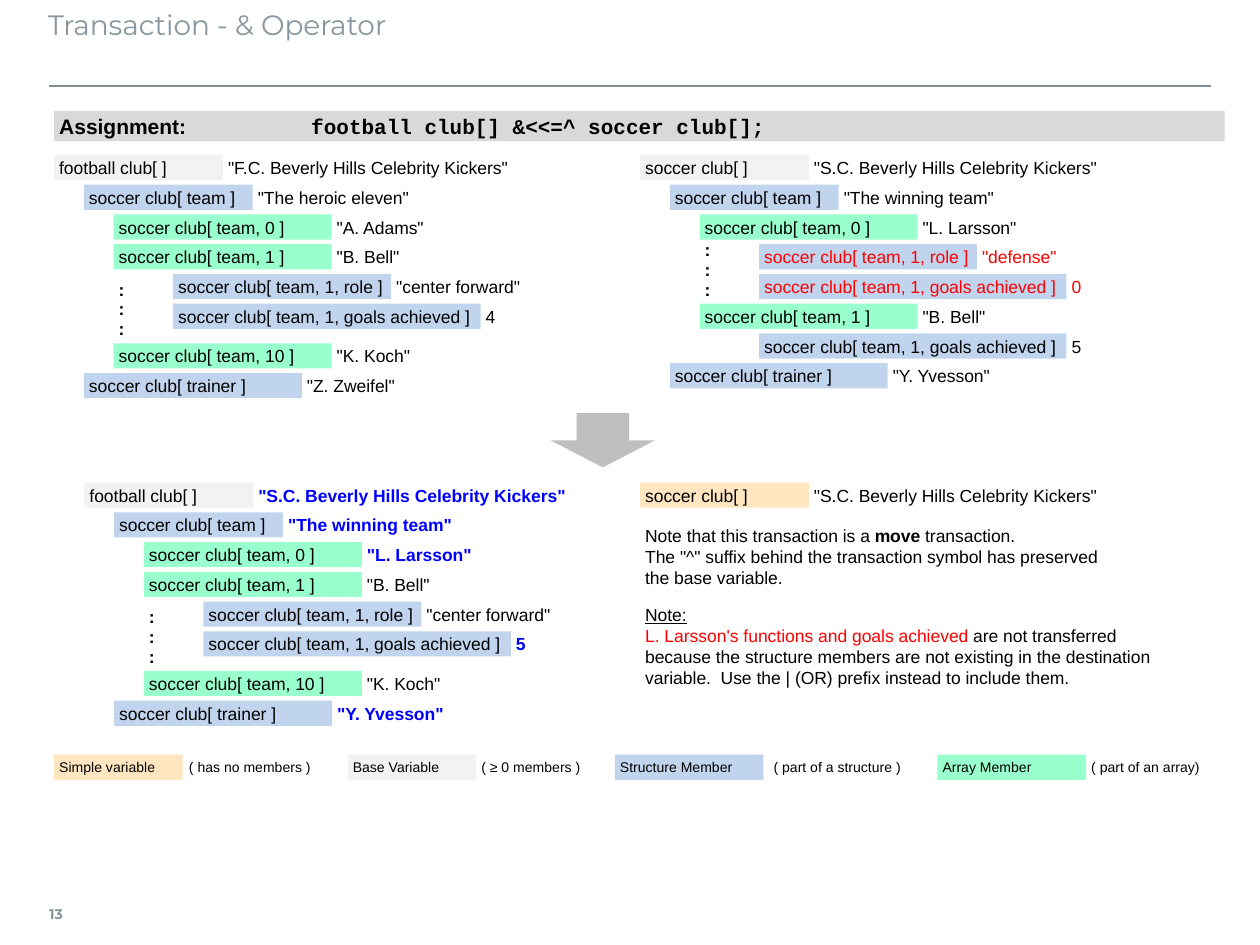
"""Build the slide on moving a structured variable with the transaction operator."""
from dataclasses import dataclass
from typing import NamedTuple

import pptx
import pptx.dml.color
import pptx.enum.shapes
import pptx.enum.text
import pptx.oxml.ns
import pptx.util
from lxml import etree

Inches = pptx.util.Inches
Shapes = pptx.enum.shapes.MSO_SHAPE
Anchor = pptx.enum.text.MSO_ANCHOR


@dataclass(frozen=True)
class Theme:
    heading_font: str = "Montserrat"
    body_font: str = "Arial"
    code_font: str = "Courier New"
    heading: str = "8996A0"
    rule: str = "808D97"
    text: str = "000000"
    removed: str = "FF0000"
    changed: str = "0000FF"
    banner: str = "D9D9D9"
    arrow: str = "BFBFBF"
    simple: str = "FFE6C1"
    base: str = "F2F2F2"
    structure: str = "C1D4EE"
    array: str = "99FFCC"
    title_size: int = 16
    banner_size: int = 12
    body_size: int = 10
    small_size: int = 8


THEME = Theme()
STEP = 17 / 72
BAR_HEIGHT = 0.2
INSET = 0.04


class Kind(NamedTuple):
    level: int
    label_width: float
    value_width: float
    fill: str


BASE = Kind(0, 1.34, 2.6, THEME.base)
SIMPLE = BASE._replace(fill=THEME.simple)
TEAM = Kind(1, 1.34, 2.28, THEME.structure)
TRAINER = Kind(1, 1.73, 1.73, THEME.structure)
ITEM = Kind(2, 1.73, 1.26, THEME.array)
ROLE = Kind(4, 1.73, 1.1, THEME.structure)
GOALS = Kind(4, 2.44, 0.39, THEME.structure)


class Member(NamedTuple):
    kind: Kind
    row: float
    label: str
    value: str
    label_color: str = THEME.text
    value_color: str = THEME.text


class Legend(NamedTuple):
    left: float
    width: float
    label: str
    note_left: float
    note_width: float
    note: str
    fill: str


class Span(NamedTuple):
    text: str
    color: str = THEME.text
    bold: bool = False
    underline: bool = False
    font: str = THEME.body_font


def rgb(value: str) -> pptx.dml.color.RGBColor:
    """Turn a hex string into a colour."""
    return pptx.dml.color.RGBColor.from_string(value)


def add_box(s, left: float, top: float, width: float, height: float, fill: str = ""):
    """Add a filled rectangle, or a text box when there is no fill."""
    box = [Inches(v) for v in (left, top, width, height)]
    if not fill:
        return s.shapes.add_textbox(*box)
    sp = s.shapes.add_shape(Shapes.RECTANGLE, *box)
    paint(sp, fill)
    return sp


def paint(sp, fill: str) -> None:
    """Give a shape a flat fill without line or shadow."""
    sp.shadow.inherit = False
    sp.fill.solid()
    sp.fill.fore_color.rgb = rgb(fill)
    sp.line.fill.background()


def write(sp, lines: list[list[Span]], size: int) -> None:
    """Write lines of spans, left aligned and vertically centred."""
    tf = sp.text_frame
    tf.word_wrap = False
    tf.vertical_anchor = Anchor.MIDDLE
    tf.margin_left = tf.margin_right = tf.margin_top = tf.margin_bottom = Inches(INSET)
    for i, spans in enumerate(lines):
        p = tf.add_paragraph() if i else tf.paragraphs[0]
        p.alignment = pptx.enum.text.PP_ALIGN.LEFT
        p.font.size = pptx.util.Pt(size)
        for span in spans:
            r = p.add_run()
            r.text = span.text
            r.font.name = span.font
            r.font.bold = span.bold
            r.font.underline = span.underline
            r.font.color.rgb = rgb(span.color)


def add_tree(s, left: float, top: float, members: list[Member], dots_row: float = 0) -> None:
    """Draw indented members with their values and an optional column of dots."""
    for kind, row, label, value, label_color, value_color in members:
        x, y = left + kind.level * STEP, top + row * STEP
        sp = add_box(s, x, y, kind.label_width, BAR_HEIGHT, kind.fill)
        write(sp, [[Span(label, label_color)]], THEME.body_size)
        sp = add_box(s, x + kind.label_width, y, kind.value_width, BAR_HEIGHT)
        bold = value_color == THEME.changed
        write(sp, [[Span(value, value_color, bold)]], THEME.body_size)
    for i in range(3 if dots_row else 0):
        y = top + (dots_row + i * 2 / 3) * STEP
        sp = add_box(s, left + ITEM.level * STEP, y, 0.16, 0.24)
        write(sp, [[Span(":", bold=True)]], THEME.body_size)


def football_tree(club: str, team: str, first: str, goals: str, trainer: str,
                  color: str = THEME.text) -> list[Member]:
    """List the football club members, with the varying values in one colour."""
    return [
        Member(BASE, 0, "football club[ ]", club, value_color=color),
        Member(TEAM, 1, "soccer club[ team ]", team, value_color=color),
        Member(ITEM, 2, "soccer club[ team, 0 ]", first, value_color=color),
        Member(ITEM, 3, "soccer club[ team, 1 ]", '"B. Bell"'),
        Member(ROLE, 4, "soccer club[ team, 1, role ]", '"center forward"'),
        Member(GOALS, 5, "soccer club[ team, 1, goals achieved ]", goals, value_color=color),
        Member(ITEM, 6 + 1 / 3, "soccer club[ team, 10 ]", '"K. Koch"'),
        Member(TRAINER, 7 + 1 / 3, "soccer club[ trainer ]", trainer, value_color=color),
    ]


SOCCER_CLUB = Member(BASE, 0, "soccer club[ ]", '"S.C. Beverly Hills Celebrity Kickers"')
RED = (THEME.removed, THEME.removed)
SOCCER_TREE = [
    SOCCER_CLUB,
    Member(TEAM, 1, "soccer club[ team ]", '"The winning team"'),
    Member(ITEM, 2, "soccer club[ team, 0 ]", '"L. Larsson"'),
    Member(ROLE, 3, "soccer club[ team, 1, role ]", '"defense"', *RED),
    Member(GOALS, 4, "soccer club[ team, 1, goals achieved ]", "0", *RED),
    Member(ITEM, 5, "soccer club[ team, 1 ]", '"B. Bell"'),
    Member(GOALS, 6, "soccer club[ team, 1, goals achieved ]", "5"),
    Member(TRAINER, 7, "soccer club[ trainer ]", '"Y. Yvesson"'),
]
LEGENDS = [
    Legend(0.43, 1.02, "Simple variable", 1.46, 1.34, "( has no members )", THEME.simple),
    Legend(2.76, 1.02, "Base Variable", 3.78, 1.22, "( ≥ 0 members )", THEME.base),
    Legend(4.88, 1.18, "Structure Member", 6.1, 1.34, "( part of a structure )", THEME.structure),
    Legend(7.44, 1.18, "Array Member", 8.62, 1.18, "( part of an array)", THEME.array),
]
MOVE_NOTE = [
    [Span("Note that this transaction is a "), Span("move", bold=True), Span(" transaction.")],
    [Span('The "^" suffix behind the transaction symbol has preserved')],
    [Span("the base variable.")],
]
MEMBER_NOTE = [
    [Span("Note:", underline=True)],
    [Span("L. Larsson's functions and goals achieved ", THEME.removed),
     Span("are not transferred")],
    [Span("because the structure members are not existing in the destination")],
    [Span("variable.  Use the | (OR) prefix instead to include them.")],
]


def add_frame(s) -> None:
    """Add the title, the rule below it and the slide number."""
    sp = s.shapes.title
    sp.left, sp.top, sp.width, sp.height = (Inches(v) for v in (0.38, 0.01, 9.21, 0.63))
    write(sp, [[Span("Transaction - & Operator", THEME.heading, font=THEME.heading_font)]],
          THEME.title_size)
    tf = sp.text_frame
    tf.auto_size = pptx.enum.text.MSO_AUTO_SIZE.NONE
    tf.word_wrap = True
    tf.vertical_anchor = Anchor.TOP
    tf.margin_left, tf.margin_top = 0, Inches(0.05)
    rule = s.shapes.add_connector(pptx.enum.shapes.MSO_CONNECTOR.STRAIGHT,
                                  Inches(0.39), Inches(0.68), Inches(9.61), Inches(0.68))
    rule.line.color.rgb = rgb(THEME.rule)
    rule.line.width = pptx.util.Pt(1)
    etree.SubElement(rule._element.spPr, pptx.oxml.ns.qn("a:effectLst"))
    sp = add_box(s, 0.39, 7.06, 0.35, 0.39)
    write(sp, [[Span("13", THEME.heading, True, font=THEME.heading_font)]], THEME.small_size)
    sp.text_frame.margin_left = 0


def add_banner(s) -> None:
    """Add the assignment statement, with its code at a tab stop."""
    sp = add_box(s, 0.43, 0.88, 9.29, 0.24, THEME.banner)
    p_pr = sp.text_frame.paragraphs[0]._p.get_or_add_pPr()
    tabs = etree.SubElement(p_pr, pptx.oxml.ns.qn("a:tabLst"))
    etree.SubElement(tabs, pptx.oxml.ns.qn("a:tab"), pos=str(Inches(2)), algn="l")
    code = Span("\tfootball club[] &<<=^ soccer club[];", bold=True, font=THEME.code_font)
    write(sp, [[Span("Assignment:", bold=True), code]], THEME.banner_size)


def main() -> None:
    """Assemble and save the slide."""
    prs = pptx.Presentation()
    prs.slide_width, prs.slide_height = Inches(10), Inches(7.5)
    s = prs.slides.add_slide(prs.slide_layouts[5])
    add_frame(s)
    add_banner(s)
    add_tree(s, 0.43, 1.23, football_tree(
        '"F.C. Beverly Hills Celebrity Kickers"', '"The heroic eleven"', '"A. Adams"', "4",
        '"Z. Zweifel"'), dots_row=4)
    add_tree(s, 5.08, 1.23, SOCCER_TREE, dots_row=2 + 2 / 3)
    arrow = s.shapes.add_shape(Shapes.DOWN_ARROW, Inches(4.37), Inches(3.28),
                               Inches(0.83), Inches(0.43))
    paint(arrow, THEME.arrow)
    add_tree(s, 0.67, 3.83, football_tree(
        SOCCER_CLUB.value, '"The winning team"', '"L. Larsson"', "5", '"Y. Yvesson"',
        THEME.changed), dots_row=4)
    add_tree(s, 5.08, 3.83, [SOCCER_CLUB._replace(kind=SIMPLE)])
    for top, note in ((4.14, MOVE_NOTE), (4.85, MEMBER_NOTE)):
        write(add_box(s, 5.08, top, 4.09, 0.55), note, THEME.body_size)
    for item in LEGENDS:
        sp = add_box(s, item.left, 5.99, item.width, BAR_HEIGHT, item.fill)
        write(sp, [[Span(item.label)]], THEME.small_size)
        sp = add_box(s, item.note_left, 5.99, item.note_width, BAR_HEIGHT)
        write(sp, [[Span(item.note)]], THEME.small_size)
    prs.save("out.pptx")


if __name__ == "__main__":
    main()
